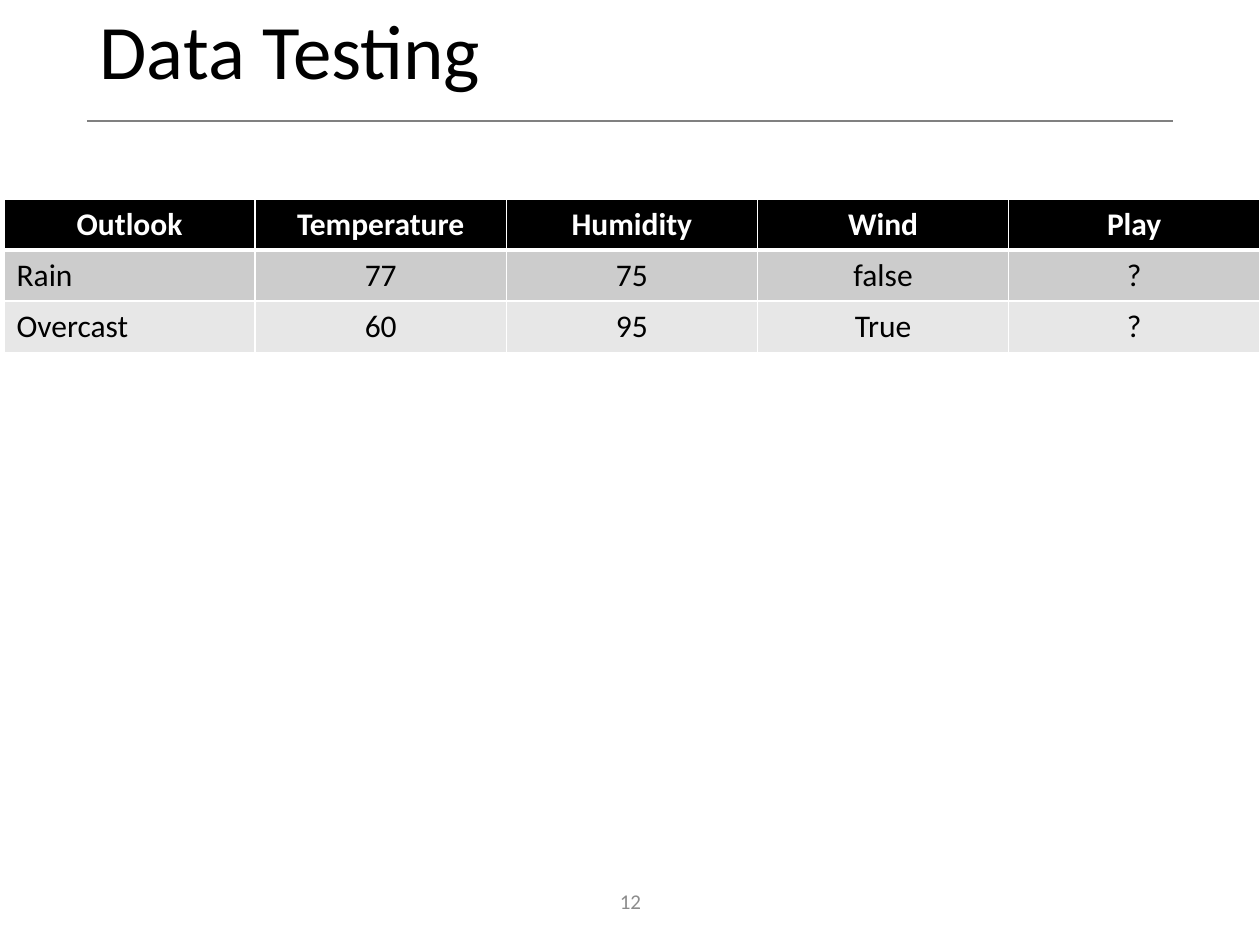
from dataclasses import dataclass

from lxml.etree import SubElement
from pptx import Presentation
from pptx.dml.color import RGBColor
from pptx.enum.shapes import MSO_CONNECTOR
from pptx.enum.text import MSO_ANCHOR, MSO_AUTO_SIZE, PP_ALIGN
from pptx.oxml.ns import qn
from pptx.util import Inches, Pt

PX = Inches(1) // 126
TITLE_ONLY = 5


@dataclass(frozen=True)
class Theme:
    font: str = "Calibri"
    ink: str = "000000"
    paper: str = "FFFFFF"
    rule: str = "808080"
    muted: str = "8C8C8C"
    bands: tuple = ("CCCCCC", "E7E7E7")
    title_size: int = 44
    table_size: int = 18
    number_size: int = 12
    thin: int = 1
    thick: int = 3


THEME = Theme()
HEADER = ("Outlook", "Temperature", "Humidity", "Wind", "Play")
RECORDS = (
    ("Rain", "77", "75", "false", "?"),
    ("Overcast", "60", "95", "True", "?"),
)


def emu(*lengths):
    return [length * PX for length in lengths]


def write(frame, text, size, color, align, bold=False):
    frame.text = text
    para = frame.paragraphs[0]
    para.alignment = align
    font = para.runs[0].font
    font.name, font.size, font.bold = THEME.font, Pt(size), bold
    font.color.rgb = RGBColor.from_string(color)
    return para


def add_title(page, box, text):
    """Place the title and the rule that runs below it."""
    left, top, width, height = box
    title = page.shapes.title
    title.left, title.top, title.width, title.height = emu(left, top, width, height - 23)
    frame = title.text_frame
    frame.word_wrap = True
    frame.auto_size = MSO_AUTO_SIZE.NONE
    frame.vertical_anchor = MSO_ANCHOR.MIDDLE
    para = write(frame, text, THEME.title_size, THEME.ink, PP_ALIGN.LEFT)
    para.line_spacing = 0.9

    bottom = top + height
    rule = page.shapes.add_connector(
        MSO_CONNECTOR.STRAIGHT, *emu(left, bottom, left + width, bottom))
    rule.line.color.rgb = RGBColor.from_string(THEME.rule)
    rule.line.width = Pt(THEME.thin)
    SubElement(rule.element.spPr, qn("a:effectLst"))


def set_borders(cell, top, bottom):
    widths = {"lnL": THEME.thin, "lnR": THEME.thin, "lnT": top, "lnB": bottom}
    properties = cell._tc.get_or_add_tcPr()
    for side, width in widths.items():
        line = SubElement(properties, qn(f"a:{side}"), w=str(Pt(width)))
        fill = SubElement(line, qn("a:solidFill"))
        SubElement(fill, qn("a:srgbClr"), val=THEME.paper)


def add_records(page, box, header, records):
    rows = (header, *records)
    left, top, width, height = box
    table = page.shapes.add_table(len(rows), len(header), *emu(*box)).table
    table.horz_banding = False
    for column in table.columns:
        column.width = width * PX // len(header)
    for row in table.rows:
        row.height = height * PX // len(rows)

    for r, values in enumerate(rows):
        is_header = r == 0
        fill = THEME.ink if is_header else THEME.bands[(r - 1) % len(THEME.bands)]
        color = THEME.paper if is_header else THEME.ink
        for c, value in enumerate(values):
            cell = table.cell(r, c)
            set_borders(cell, THEME.thick if r == 1 else THEME.thin,
                        THEME.thick if is_header else THEME.thin)
            cell.fill.solid()
            cell.fill.fore_color.rgb = RGBColor.from_string(fill)
            cell.vertical_anchor = MSO_ANCHOR.TOP if is_header else MSO_ANCHOR.MIDDLE
            align = PP_ALIGN.CENTER if is_header or c else PP_ALIGN.LEFT
            write(cell.text_frame, value, THEME.table_size, color, align, is_header)


def add_page_number(page, box, number):
    frame = page.shapes.add_textbox(*emu(*box)).text_frame
    frame.word_wrap = True
    frame.vertical_anchor = MSO_ANCHOR.MIDDLE
    write(frame, number, THEME.number_size, THEME.muted, PP_ALIGN.CENTER)


def main():
    deck = Presentation()
    deck.slide_width, deck.slide_height = emu(1260, 945)
    page = deck.slides.add_slide(deck.slide_layouts[TITLE_ONLY])
    add_title(page, (87, 11, 1086, 110), "Data Testing")
    add_records(page, (4, 199, 1256, 153), HEADER, RECORDS)
    add_page_number(page, (489, 876, 283, 50), "12")
    deck.save("out.pptx")


if __name__ == "__main__":
    main()
